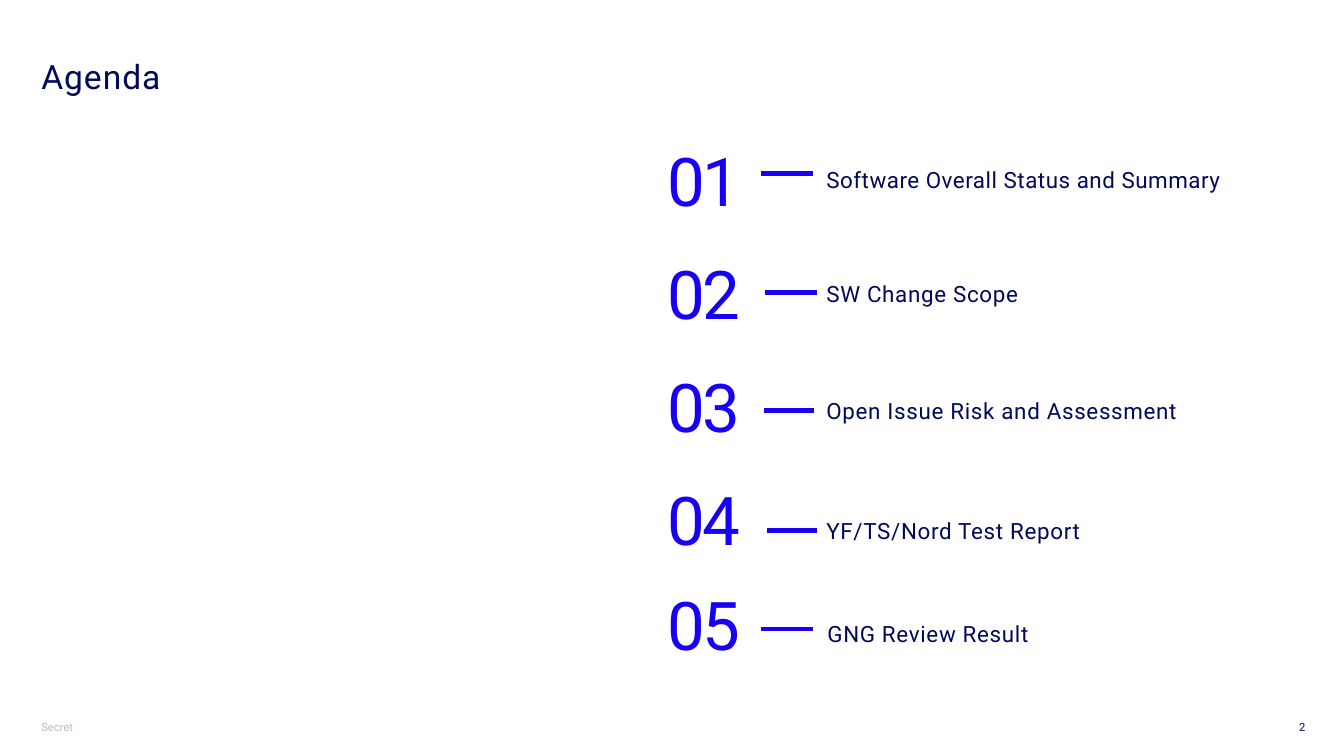
from collections import namedtuple
from dataclasses import dataclass

from pptx import Presentation
from pptx.dml.color import RGBColor
from pptx.enum.shapes import MSO_CONNECTOR
from pptx.enum.text import MSO_ANCHOR as Anchor, MSO_AUTO_SIZE as AutoSize, PP_ALIGN as Align
from pptx.oxml.ns import qn
from pptx.util import Pt
from lxml import etree


@dataclass(frozen=True)
class Theme:
    font: str = "Roboto"
    navy: RGBColor = RGBColor(0x00, 0x09, 0x5B)
    blue: RGBColor = RGBColor(0x17, 0x00, 0xF3)
    grey: RGBColor = RGBColor(0xB9, 0xBC, 0xBD)
    title_size: float = 24
    number_size: float = 48
    label_size: float = 16
    footer_size: float = 8
    dash_width: float = 3.25


THEME = Theme()
Box = namedtuple("Box", "left top width height")
# Positions are measured from the top left corner of each row
Row = namedtuple("Row", "top label label_left label_top dash_left dash_top dash_length tracking")

ROW_PITCH = 80.64
AGENDA = [
    Row(0, "Software Overall Status and Summary", 113.76, 15.1, 74.2, 25.2, 37.4, 0.4),
    Row(ROW_PITCH, "SW Change Scope", 113.76, 15.8, 77, 29.5, 37.4, 0.5),
    Row(2 * ROW_PITCH, "Open Issue Risk and Assessment", 113.76, 18.7, 76.3, 33.1, 36, 0.5),
    Row(3 * ROW_PITCH, "YF/TS/Nord Test Report", 113.76, 23.8, 78.5, 38.2, 35.3, 0.5),
    Row(316.8, "GNG Review Result", 114.48, 22.3, 74.2, 33.8, 37.4, 0.5),
]


def add_text(slide, text, box, *, size, color, tracking=0, insets=(0, 3.6, 0, 3.6),
             anchor=Anchor.TOP, align=Align.LEFT, line_spacing=None, wrap=True):
    shape = slide.shapes.add_textbox(*(Pt(length) for length in box))
    frame = shape.text_frame
    frame.word_wrap = wrap
    frame.auto_size = AutoSize.NONE if wrap else AutoSize.SHAPE_TO_FIT_TEXT
    frame.vertical_anchor = anchor
    frame.margin_left, frame.margin_top, frame.margin_right, frame.margin_bottom = (
        Pt(inset) for inset in insets)
    paragraph = frame.paragraphs[0]
    paragraph.alignment = align
    if line_spacing:
        paragraph.line_spacing = line_spacing
    run = paragraph.add_run()
    run.text = text
    run.font.name = THEME.font
    run.font.size = Pt(size)
    run.font.color.rgb = color
    if tracking:
        run._r.get_or_add_rPr().set("spc", str(round(tracking * 100)))


def add_dash(slide, left, top, length):
    dash = slide.shapes.add_connector(
        MSO_CONNECTOR.STRAIGHT, Pt(left), Pt(top), Pt(left + length), Pt(top))
    dash.line.color.rgb = THEME.blue
    dash.line.width = Pt(THEME.dash_width)
    etree.SubElement(dash._element.spPr, qn("a:effectLst"))


def add_title(slide, box):
    add_text(slide, "Agenda", box, size=THEME.title_size, color=THEME.navy,
             tracking=0.7, line_spacing=0.9)


def add_agenda(slide, box):
    for number, row in enumerate(AGENDA, start=1):
        top = box.top + row.top
        # Number
        add_text(slide, f"{number:02}", Box(box.left, top, 94.32, 59.76),
                 size=THEME.number_size, color=THEME.blue, tracking=-2,
                 insets=(7.2, 7.2, 7.2, 0), anchor=Anchor.MIDDLE, line_spacing=0.9)
        # Dash
        add_dash(slide, box.left + row.dash_left, top + row.dash_top, row.dash_length)
        # Topic
        add_text(slide, row.label,
                 Box(box.left + row.label_left, top + row.label_top,
                     box.width - row.label_left, 29.52),
                 size=THEME.label_size, color=THEME.navy, tracking=row.tracking,
                 insets=(7.2, 0, 7.2, 0), anchor=Anchor.MIDDLE)


def add_footer(slide, box):
    add_text(slide, "Secret", Box(box.left, box.top, 30.96, box.height),
             size=THEME.footer_size, color=THEME.grey, insets=(0, 3.6, 7.2, 3.6), wrap=False)
    number_width = 25.2
    add_text(slide, "2",
             Box(box.left + box.width - number_width, box.top, number_width, box.height),
             size=THEME.footer_size, color=THEME.navy, align=Align.RIGHT)


def main():
    presentation = Presentation()
    presentation.slide_width, presentation.slide_height = Pt(960), Pt(540)
    slide = presentation.slides.add_slide(presentation.slide_layouts[6])
    add_title(slide, Box(29.52, 39.6, 428.4, 84.96))
    add_agenda(slide, Box(469.44, 98.64, 470.88, 376.56))
    add_footer(slide, Box(29.52, 511.2, 902.88, 17.28))
    presentation.save("out.pptx")


if __name__ == "__main__":
    main()
